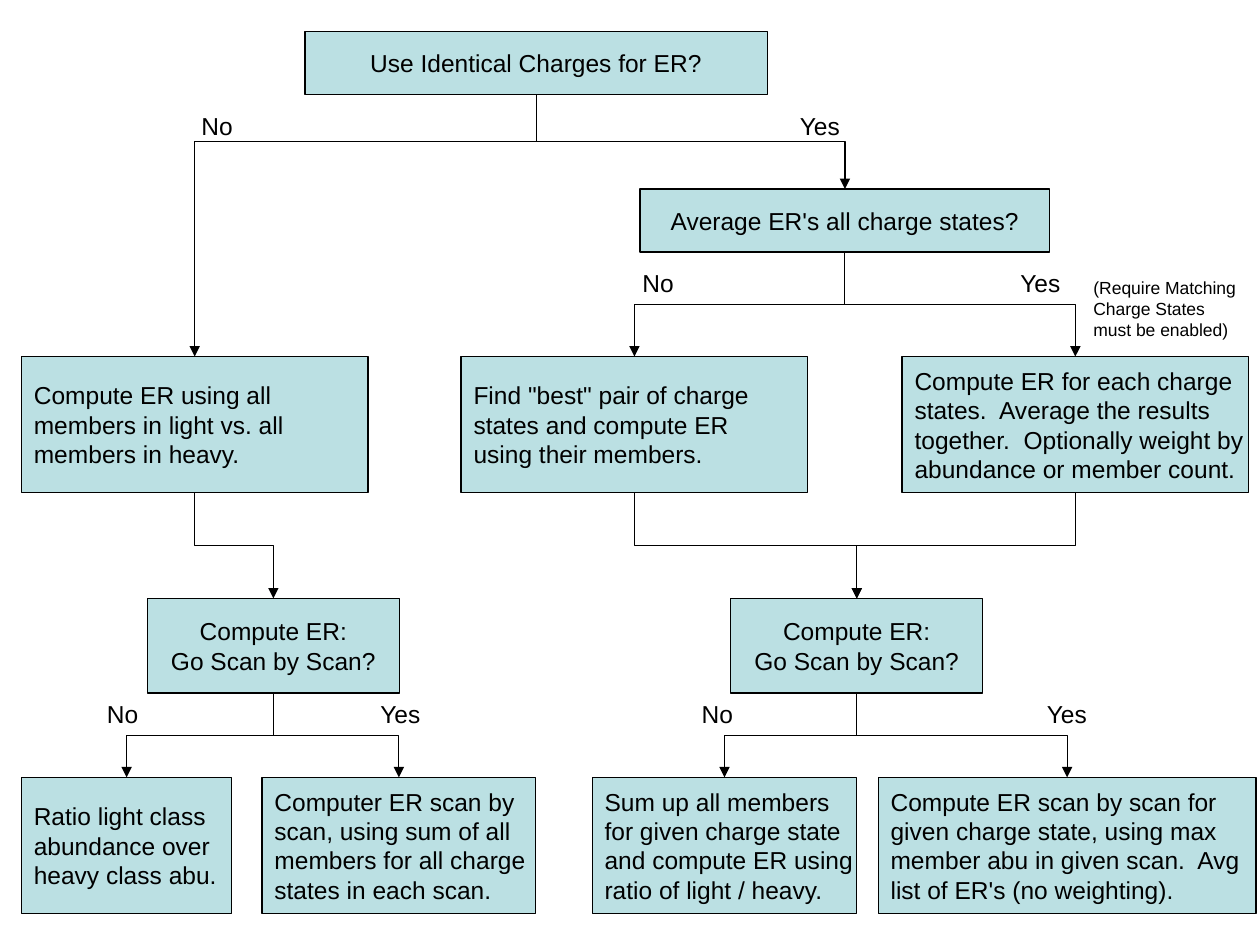
import lxml.etree
import pptx
import pptx.dml.color
import pptx.enum.shapes
import pptx.enum.text
import pptx.oxml.ns
import pptx.util

Inches, Pt = pptx.util.Inches, pptx.util.Pt
ALIGN = pptx.enum.text.PP_ALIGN
ANCHOR = pptx.enum.text.MSO_ANCHOR
AUTO_SIZE = pptx.enum.text.MSO_AUTO_SIZE
qn = pptx.oxml.ns.qn

COLORS = {"box": "BBE0E3", "ink": "000000"}
FONT = "Arial"
BOTTOM, TOP = 2, 0  # connection sites of a rectangle

# Each row: top, height, alignment, then boxes as name: (left, width, text)
ROWS = [
    (0.25, 0.5, ALIGN.CENTER, {
        "identical": (2.42, 3.67, "Use Identical Charges for ER?"),
    }),
    (1.5, 0.5, ALIGN.CENTER, {
        "average": (5.08, 3.25, "Average ER's all charge states?"),
    }),
    (2.83, 1.08, ALIGN.LEFT, {
        "all members": (0.17, 2.75, "Compute ER using all\nmembers in light vs. all\nmembers in heavy."),
        "best pair": (3.66, 2.75, "Find \"best\" pair of charge\nstates and compute ER\nusing their members."),
        "each state": (7.16, 2.75, "Compute ER for each charge\nstates.  Average the results\n"
                                   "together.  Optionally weight by\nabundance or member count."),
    }),
    (4.75, 0.75, ALIGN.CENTER, {
        "left scan": (1.17, 2, "Compute ER:\nGo Scan by Scan?"),
        "right scan": (5.8, 2, "Compute ER:\nGo Scan by Scan?"),
    }),
    (6.17, 1.08, ALIGN.LEFT, {
        "class ratio": (0.17, 1.67, "Ratio light class\nabundance over\nheavy class abu."),
        "scan sums": (2.08, 2.17, "Computer ER scan by\nscan, using sum of all\n"
                                  "members for all charge\nstates in each scan."),
        "state sums": (4.7, 2.1, "Sum up all members\nfor given charge state\n"
                                 "and compute ER using\nratio of light / heavy."),
        "scan maxima": (6.97, 3, "Compute ER scan by scan for\ngiven charge state, using max\n"
                                 "member abu in given scan.  Avg\nlist of ER's (no weighting)."),
    }),
]

FLOWS = {
    "identical": ["all members", "average"],
    "average": ["best pair", "each state"],
    "all members": ["left scan"],
    "best pair": ["right scan"],
    "each state": ["right scan"],
    "left scan": ["class ratio", "scan sums"],
    "right scan": ["state sums", "scan maxima"],
}

# Top of the answers, then the left edges of each No and Yes pair
ANSWERS = [
    (0.83, [(1.5, 6.25)]),
    (2.08, [(5, 8)]),
    (5.5, [(0.75, 2.92), (5.47, 8.21)]),
]
ANSWER_WIDTHS = {"No": 0.45, "Yes": 0.53}
REQUIREMENT = "(Require Matching Charge States must be enabled)"


def color(name):
    return pptx.dml.color.RGBColor.from_string(COLORS[name])


def write(frame, text, size=14, align=ALIGN.LEFT, **frame_format):
    frame.text = text
    for name, value in frame_format.items():
        setattr(frame, name, value)
    for paragraph in frame.paragraphs:
        paragraph.alignment = align
        for name, value in {"name": FONT, "size": Pt(size)}.items():
            setattr(paragraph.font, name, value)
        paragraph.font.color.rgb = color("ink")


def add_box(slide, left, top, width, height, text, align):
    box = slide.shapes.add_shape(pptx.enum.shapes.MSO_SHAPE.RECTANGLE,
                                 *map(Inches, (left, top, width, height)))
    box.shadow.inherit = False
    box.fill.solid()
    box.fill.fore_color.rgb = color("box")
    box.line.color.rgb = color("ink")
    box.line.width = Pt(0.75)
    write(box.text_frame, text, align=align, word_wrap=False, vertical_anchor=ANCHOR.MIDDLE)
    return box


def add_label(slide, left, top, width, height, text, size=14, wrap=False):
    label = slide.shapes.add_textbox(*map(Inches, (left, top, width, height)))
    write(label.text_frame, text, size, word_wrap=wrap, auto_size=AUTO_SIZE.SHAPE_TO_FIT_TEXT)


def add_flow(slide, source, target, bend):
    """Join two boxes by an arrow that goes down, sideways at the bend depth, and down."""
    start_x, start_y = source.left + source.width // 2, source.top + source.height
    end_x, end_y = target.left + target.width // 2, target.top
    flow = slide.shapes.add_connector(pptx.enum.shapes.MSO_CONNECTOR.ELBOW,
                                      start_x, start_y, end_x, end_y)
    flow.begin_connect(source, BOTTOM)
    flow.end_connect(target, TOP)
    flow.line.color.rgb = color("ink")
    flow.line.width = Pt(0.75)

    # The preset runs sideways first, so it is turned a quarter about its centre.
    drop, shift = end_y - start_y, abs(end_x - start_x)
    frame = {"left": (start_x + end_x - drop) // 2, "top": (start_y + end_y - shift) // 2,
             "width": drop, "height": shift}
    for name, value in frame.items():
        setattr(flow, name, value)
    properties = flow._element.spPr
    rightward = end_x > start_x
    turn = {"rot": "16200000" if rightward else "5400000",
            "flipH": "1" if rightward else "0", "flipV": "0"}
    for name, value in turn.items():
        properties.find(qn("a:xfrm")).set(name, value)
    guides = properties.find(qn("a:prstGeom")).get_or_add_avLst()
    lxml.etree.SubElement(guides, qn("a:gd"), name="adj1", fmla=f"val {round(bend / drop * 100000)}")
    lxml.etree.SubElement(properties.find(qn("a:ln")), qn("a:tailEnd"), type="triangle")
    lxml.etree.SubElement(properties, qn("a:effectLst"))


def main():
    deck = pptx.Presentation()
    deck.slide_width, deck.slide_height = Inches(10), Inches(7.5)
    slide = deck.slides.add_slide(deck.slide_layouts[6])

    boxes = {}
    for top, height, align, row in ROWS:
        for name, (left, width, text) in row.items():
            boxes[name] = add_box(slide, left, top, width, height, text, align)

    for name, followers in FLOWS.items():
        source = boxes[name]
        targets = [boxes[follower] for follower in followers]
        bend = (min(target.top for target in targets) - source.top - source.height) / 2
        for target in targets:
            add_flow(slide, source, target, bend)

    for top, pairs in ANSWERS:
        for pair in pairs:
            for left, (answer, width) in zip(pair, ANSWER_WIDTHS.items()):
                add_label(slide, left, top, width, 0.34, answer)
    add_label(slide, 8.58, 2.15, 1.33, 0.6, REQUIREMENT, size=10, wrap=True)

    deck.save("out.pptx")


if __name__ == "__main__":
    main()
